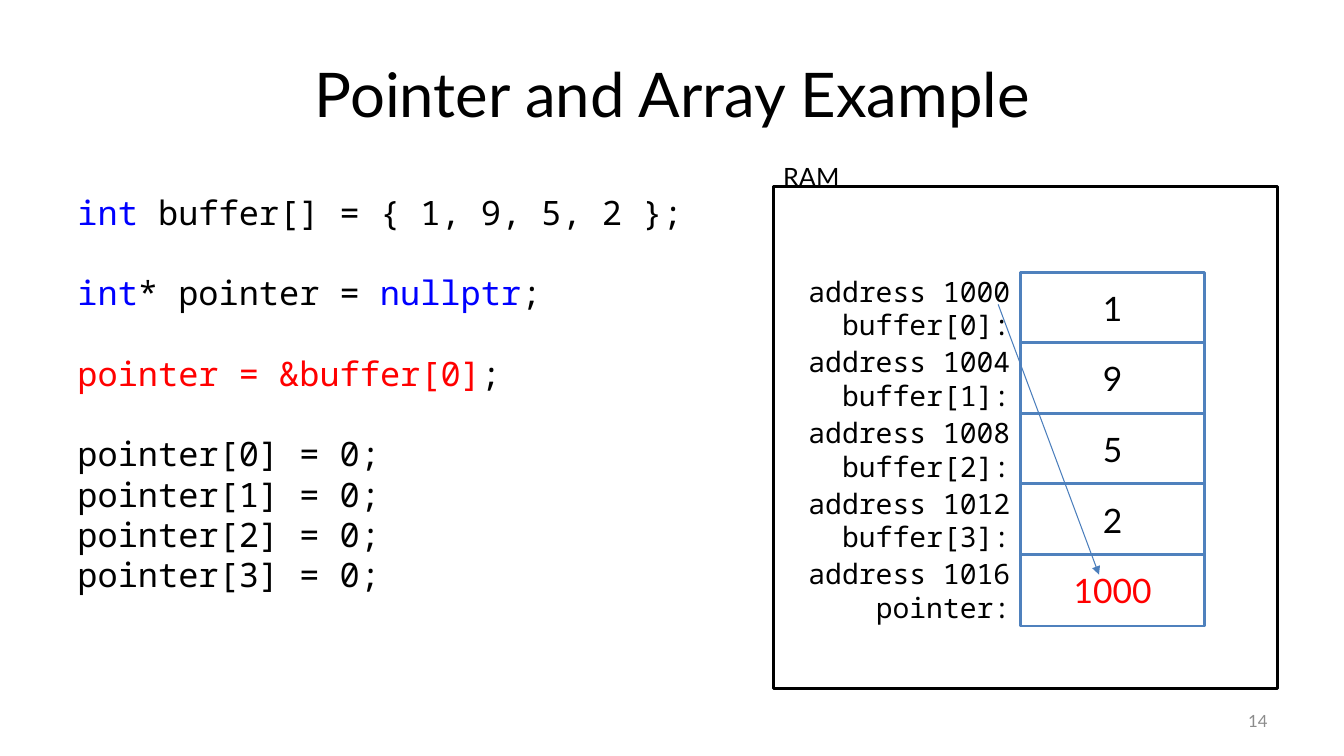
from dataclasses import dataclass

from lxml import etree
from pptx import Presentation
from pptx.dml.color import RGBColor
from pptx.enum.shapes import MSO_CONNECTOR as Connector, MSO_SHAPE as Shape
from pptx.enum.text import MSO_ANCHOR as Anchor, PP_ALIGN as Align
from pptx.oxml.ns import qn
from pptx.util import Inches, Pt


@dataclass(frozen=True)
class Theme:
    body_font: str = "Lato"
    code_font: str = "Noto Sans Mono"
    black: str = "000000"
    white: str = "FFFFFF"
    gray: str = "8C8C8C"
    keyword: str = "0000FF"
    highlight: str = "FF0000"
    cell_border: str = "4F81BD"
    arrow: str = "4B7EBC"
    title_size: float = 44
    code_size: float = 24
    cell_size: float = 24
    address_size: float = 20
    caption_size: float = 18
    number_size: float = 12
    code_gap: float = 28.8
    border_width: float = 2
    arrow_width: float = 0.75


def set_attributes(target, values):
    for name, value in values.items():
        setattr(target, name, value)


class SlideBuilder:
    def __init__(self, slide, theme):
        self.slide = slide
        self.theme = theme

    def fill_text(self, shape, paragraphs, size, font=None, align=Align.LEFT,
                  anchor=Anchor.TOP, gaps=()):
        """Fill a shape; each paragraph is a list of (text, colour) runs.

        gaps holds the indexes of paragraphs preceded by a blank line's height.
        """
        frame = shape.text_frame
        set_attributes(frame, {"word_wrap": True, "vertical_anchor": anchor})
        for index, runs in enumerate(paragraphs):
            paragraph = frame.add_paragraph() if index else frame.paragraphs[0]
            space = Pt(self.theme.code_gap if index in gaps else 0)
            set_attributes(paragraph, {"alignment": align, "space_before": space})
            for text, color in runs:
                run = paragraph.add_run()
                run.text = text
                set_attributes(run.font, {"name": font or self.theme.body_font,
                                          "size": Pt(size)})
                run.font.color.rgb = RGBColor.from_string(color)

    def text(self, box, paragraphs, size, **style):
        shape = self.slide.shapes.add_textbox(*map(Inches, box))
        self.fill_text(shape, paragraphs, size, **style)

    def rectangle(self, box, border):
        shape = self.slide.shapes.add_shape(Shape.RECTANGLE, *map(Inches, box))
        shape.shadow.inherit = False
        shape.fill.solid()
        shape.fill.fore_color.rgb = RGBColor.from_string(self.theme.white)
        shape.line.color.rgb = RGBColor.from_string(border)
        shape.line.width = Pt(self.theme.border_width)
        return shape

    def memory_cell(self, box, value, color):
        self.fill_text(self.rectangle(box, self.theme.cell_border), [[(value, color)]],
                       self.theme.cell_size, align=Align.CENTER, anchor=Anchor.MIDDLE)

    def arrow(self, start, end):
        line = self.slide.shapes.add_connector(
            Connector.STRAIGHT, *map(Inches, (*start, *end)))
        line.line.color.rgb = RGBColor.from_string(self.theme.arrow)
        line.line.width = Pt(self.theme.arrow_width)
        properties = line._element.spPr
        etree.SubElement(properties.find(qn("a:ln")), qn("a:tailEnd"), type="triangle")
        etree.SubElement(properties, qn("a:effectLst"))


def main():
    presentation = Presentation()
    set_attributes(presentation, {"slide_width": Inches(13.33),
                                  "slide_height": Inches(7.5)})
    theme = Theme()
    black, blue, red = theme.black, theme.keyword, theme.highlight
    builder = SlideBuilder(
        presentation.slides.add_slide(presentation.slide_layouts[6]), theme)

    builder.text((0.67, 0.3, 12, 1.25), [[("Pointer and Array Example", black)]],
                 theme.title_size, align=Align.CENTER, anchor=Anchor.MIDDLE)
    builder.text((9.56, 6.95, 3.11, 0.4), [[("14", theme.gray)]],
                 theme.number_size, align=Align.RIGHT, anchor=Anchor.MIDDLE)

    builder.rectangle((7.67, 1.85, 5, 4.98), black)
    builder.text((7.67, 1.55, 1.86, 0.4), [[("RAM", black)]], theme.caption_size)

    memory = [(f"buffer[{index}]:", value, black)
              for index, value in enumerate(("1", "9", "5", "2"))]
    memory.append(("pointer:", "1000", red))
    cell_left, first_top, pitch = 10.12, 2.7, 0.7
    label_width = 2.69
    for index, (name, value, color) in enumerate(memory):
        top = first_top + index * pitch
        builder.memory_cell((cell_left, top, 1.83, 0.71), value, color)
        builder.text((cell_left - label_width, top - 0.03, label_width, 0.77),
                     [[(f"address {1000 + 4 * index}", black)], [(name, black)]],
                     theme.address_size, font=theme.code_font,
                     align=Align.RIGHT, anchor=Anchor.MIDDLE)

    code = [
        [("int", blue), (" buffer[] = { 1, 9, 5, 2 };", black)],
        [("int", blue), ("* pointer = ", black), ("nullptr", blue), (";", black)],
        [("pointer = &buffer[0]", red), (";", black)],
        *([(f"pointer[{index}] = 0;", black)] for index in range(4)),
    ]
    builder.text((0.67, 1.85, 6.33, 4.14), code, theme.code_size,
                 font=theme.code_font, gaps=(1, 2, 3))

    builder.arrow((9.9, 3.02), (10.9, 5.7))
    presentation.save("out.pptx")


if __name__ == "__main__":
    main()
